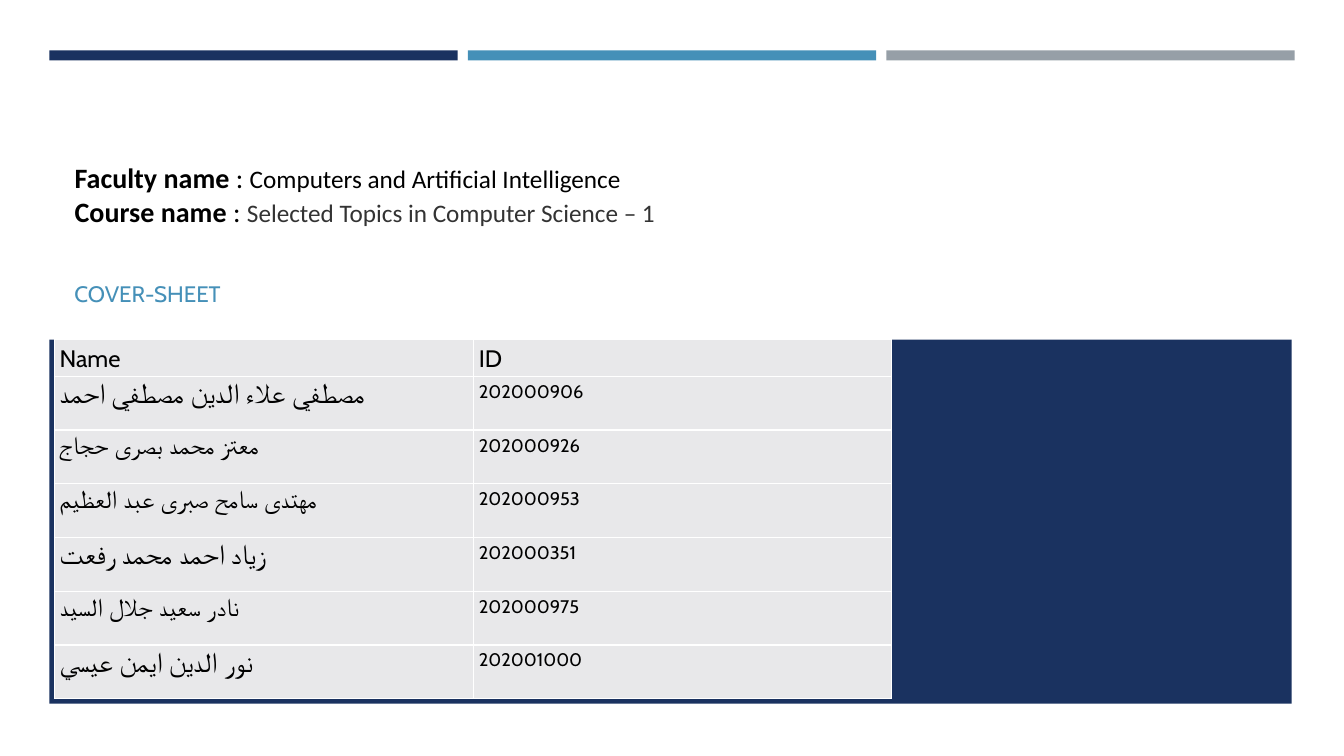
from lxml import etree
from pptx import Presentation
from pptx import util as u
from pptx.dml.color import RGBColor
from pptx.enum import shapes, text
from pptx.oxml import ns

COLORS = {"navy": "1A3260", "blue": "4590B8", "gray": "969FA7", "cell": "E8E8EA",
          "white": "FFFFFF", "black": "000000", "dark": "333333"}
STUDENTS = [
    ("مصطفي علاء الدين مصطفي احمد", 20, "202000906"),
    ("معتز محمد بصرى حجاج", 18, "202000926"),
    ("مهتدى سامح صبرى عبد العظيم", 18, "202000953"),
    ("زياد احمد محمد رفعت", 20, "202000351"),
    ("نادر سعيد جلال السيد", 18, "202000975"),
    ("نور الدين ايمن عيسي", 20, "202001000"),
]


def add_span(para, words, size, font="Cabin", color="black", bold=False):
    """Append one formatted run to a paragraph."""
    span = para.add_run()
    span.text = words
    span.font.size = u.Pt(size)
    span.font.name = font
    span.font.bold = bold
    span.font.color.rgb = RGBColor.from_string(COLORS[color])


def add_block(page, left, top, width, height, color):
    """Draw a plain filled rectangle."""
    block = page.shapes.add_shape(shapes.MSO_SHAPE.RECTANGLE, *map(u.Inches, (left, top, width, height)))
    block.shadow.inherit = False
    block.fill.solid()
    block.fill.fore_color.rgb = RGBColor.from_string(COLORS[color])
    block.line.fill.background()


def add_top_bars(page, left, top, width, height, gap=0.1):
    """Draw the three coloured bars across the given box."""
    bar_width = (width - 2 * gap) / 3
    for index, color in enumerate(("navy", "blue", "gray")):
        add_block(page, left + index * (bar_width + gap), top, bar_width, height, color)


def fill_title(page, left, top, width, height):
    """Place the title and write the faculty and course lines."""
    title = page.shapes.title
    title.left, title.top, title.width, title.height = map(u.Inches, (left, top, width, height))
    frame = title.text_frame
    frame.word_wrap = True
    frame.auto_size = text.MSO_AUTO_SIZE.NONE
    frame.vertical_anchor = text.MSO_ANCHOR.MIDDLE
    lines = [("Faculty name", "Computers and Artificial Intelligence", "black"),
             ("Course name", "Selected Topics in Computer Science – 1", "dark")]
    for index, (label, value, color) in enumerate(lines):
        para = frame.add_paragraph() if index else frame.paragraphs[0]
        para.alignment = text.PP_ALIGN.LEFT
        add_span(para, label, 20, "Calibri", bold=True)
        add_span(para, " : ", 20, "Calibri")
        add_span(para, value, 18, "Calibri", color)


def add_subtitle(page, left, top, width, height):
    """Write the subtitle line."""
    box = page.shapes.add_textbox(*map(u.Inches, (left, top, width, height)))
    box.text_frame.word_wrap = True
    add_span(box.text_frame.paragraphs[0], "COVER-SHEET", 16, color="blue")


def format_cell(cell, words, size):
    """Write one table cell with its margins, white borders and fill."""
    cell.margin_left = cell.margin_right = u.Inches(0.05)
    cell.margin_top = cell.margin_bottom = u.Inches(0.03)
    para = cell.text_frame.paragraphs[0]
    para.alignment = text.PP_ALIGN.LEFT
    para.line_spacing = 1.07
    add_span(para, words, size)
    properties = cell._tc.get_or_add_tcPr()
    for side in ("a:lnL", "a:lnR", "a:lnT", "a:lnB"):
        border = etree.SubElement(properties, ns.qn(side), w=str(u.Pt(1)))
        paint = etree.SubElement(border, ns.qn("a:solidFill"))
        etree.SubElement(paint, ns.qn("a:srgbClr"), val=COLORS["white"])
    cell.fill.solid()
    cell.fill.fore_color.rgb = RGBColor.from_string(COLORS["cell"])


def add_student_table(page, left, top, width, height):
    """Build the table of student names and IDs."""
    header_height = 0.34
    row_height = (height - header_height) / len(STUDENTS)
    table = page.shapes.add_table(len(STUDENTS) + 1, 2, *map(u.Inches, (left, top, width, height))).table
    table.first_row = table.horz_banding = False
    table.columns[0].width = u.Inches(4.16)
    table.columns[1].width = u.Inches(width - 4.16)
    for row in table.rows:
        row.height = u.Inches(row_height)
    table.rows[0].height = u.Inches(header_height)
    format_cell(table.cell(0, 0), "Name", 17)
    format_cell(table.cell(0, 1), "ID", 17)
    for index, (name, size, number) in enumerate(STUDENTS, 1):
        format_cell(table.cell(index, 0), name, size)
        format_cell(table.cell(index, 1), number, 13)


def main():
    """Build and save the cover sheet."""
    deck = Presentation()
    deck.slide_width, deck.slide_height = u.Inches(13.33), u.Inches(7.5)
    page = deck.slides.add_slide(deck.slide_layouts[5])
    add_top_bars(page, 0.49, 0.5, 12.35, 0.1)
    add_block(page, 0.49, 3.37, 12.32, 3.61, "navy")
    fill_title(page, 0.64, 1.12, 12.02, 1.61)
    add_subtitle(page, 0.64, 2.73, 12.02, 0.65)
    add_student_table(page, 0.54, 3.37, 8.3, 3.54)
    deck.save("out.pptx")


if __name__ == "__main__":
    main()
